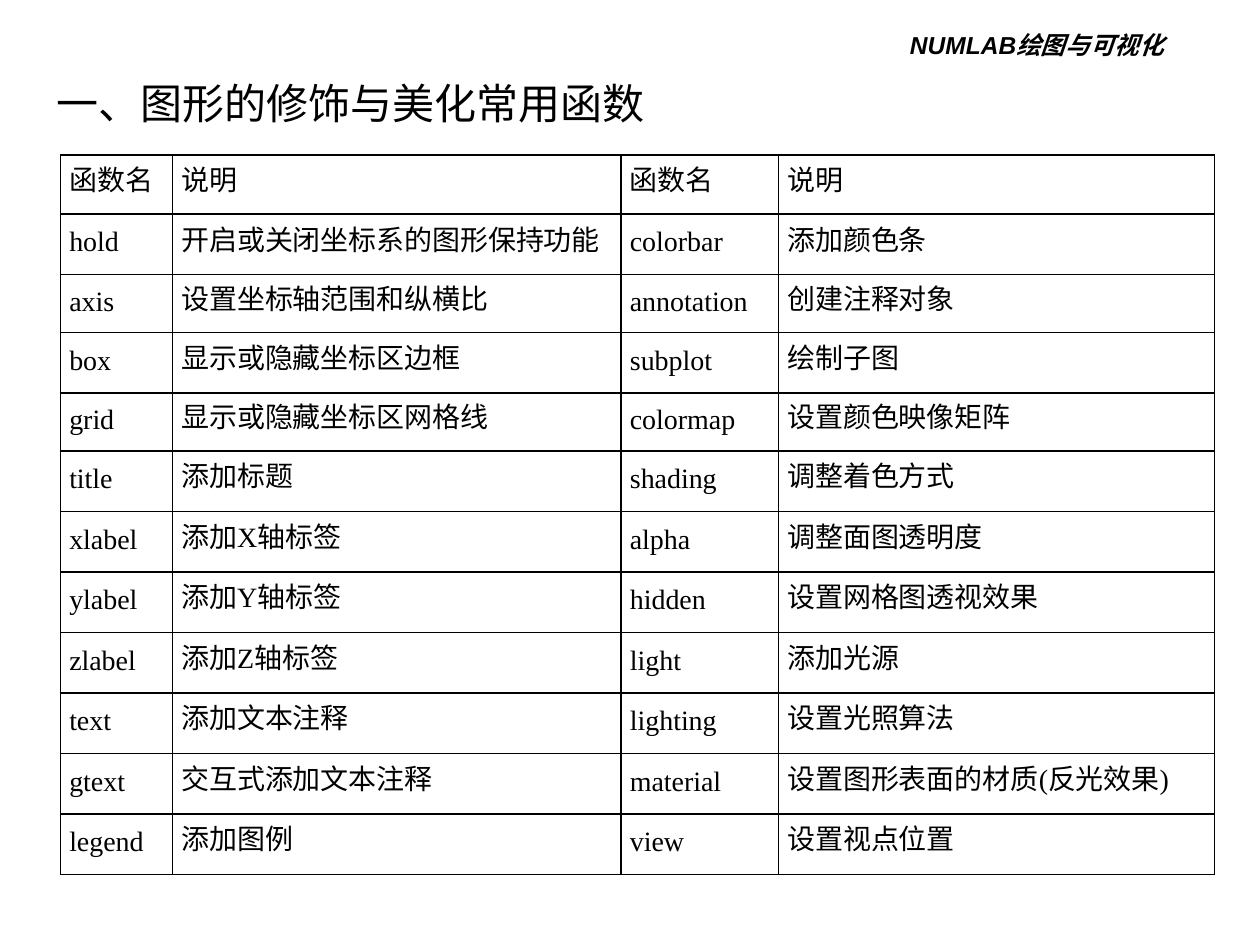
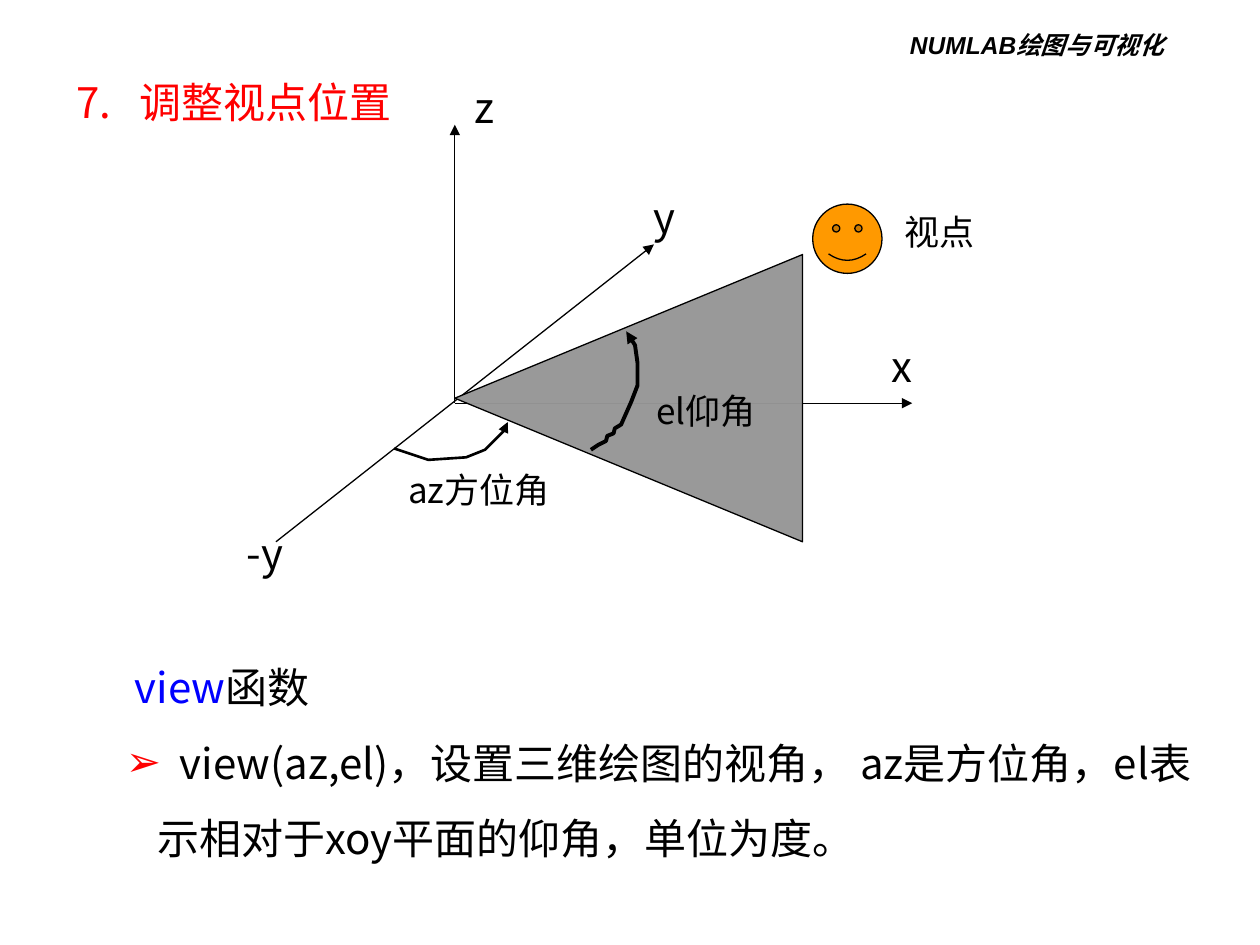
from pptx import Presentation, util as u
from pptx.dml.color import RGBColor
from pptx.enum import shapes, text
from pptx.oxml import parse_xml
from pptx.oxml.ns import nsdecls, qn

COLORS = {"ink": "000000", "accent": "FF0000", "code": "0000FF",
          "plane": "969696", "face": "FF9900"}
SANS, SERIF, HEAD, AXIS = ("Noto Sans CJK SC", "Times New Roman", "Arial",
                           "Noto Sans CJK KR")
COLS, ROWS = 100, 75

FUNCTIONS = [
    ("函数名", "说明", "函数名", "说明"),
    ("hold", "开启或关闭坐标系的图形保持功能", "colorbar", "添加颜色条"),
    ("axis", "设置坐标轴范围和纵横比", "annotation", "创建注释对象"),
    ("box", "显示或隐藏坐标区边框", "subplot", "绘制子图"),
    ("grid", "显示或隐藏坐标区网格线", "colormap", "设置颜色映像矩阵"),
    ("title", "添加标题", "shading", "调整着色方式"),
    ("xlabel", "添加X轴标签", "alpha", "调整面图透明度"),
    ("ylabel", "添加Y轴标签", "hidden", "设置网格图透视效果"),
    ("zlabel", "添加Z轴标签", "light", "添加光源"),
    ("text", "添加文本注释", "lighting", "设置光照算法"),
    ("gtext", "交互式添加文本注释", "material", "设置图形表面的材质(反光效果)"),
    ("legend", "添加图例", "view", "设置视点位置"),
]


def rgb(name):
    return RGBColor.from_string(COLORS[name])


def element(tag, attrs="", inner=""):
    return parse_xml(f"<a:{tag} {nsdecls('a')} {attrs}>{inner}</a:{tag}>")


def solid(name):
    return f'<a:solidFill><a:srgbClr val="{COLORS[name]}"/></a:solidFill>'


def add_run(p, content, size=24, font=SANS, east=SANS, color="ink",
            bold=False, italic=False):
    r = p.add_run()
    r.text = content
    f = r.font
    f.size, f.name, f.bold, f.italic = u.Pt(size), font, bold, italic
    f.color.rgb = rgb(color)
    r._r.get_or_add_rPr().find(qn("a:latin")).addnext(
        element("ea", f'typeface="{east}"'))


def set_indent(p, margin=0, first=0, bullet=None, tab=None):
    """Set a paragraph's indents in inches, with an optional bullet and tab stop."""
    pPr = p._p.get_or_add_pPr()
    pPr.set("marL", str(u.Inches(margin)))
    pPr.set("indent", str(u.Inches(first)))
    if bullet:
        pPr.append(element("buClr", "", f'<a:srgbClr val="{COLORS["accent"]}"/>'))
        pPr.append(element("buFont", f'typeface="{HEAD}"'))
        pPr.append(element("buChar", f'char="{bullet}"'))
    if tab:
        pPr.append(element("tabLst", "",
                           f'<a:tab pos="{u.Inches(tab)}" algn="l"/>'))


class Deck:
    """Holds the presentation, its grid and the slide being filled."""

    def __init__(self):
        self.prs = Presentation()
        self.prs.slide_width, self.prs.slide_height = u.Inches(10), u.Inches(7.5)

    def x(self, cols):
        return round(self.prs.slide_width * cols / COLS)

    def y(self, rows):
        return round(self.prs.slide_height * rows / ROWS)

    def box(self, left, top, width, height):
        return self.x(left), self.y(top), self.x(width), self.y(height)

    def new_slide(self):
        self.s = self.prs.slides.add_slide(self.prs.slide_layouts[6])
        p = self.label("NUMLAB绘图与可视化", 70.5, 1.9, 23.6, 3.4, size=14,
                       font=HEAD, bold=True, italic=True)
        p.alignment = text.PP_ALIGN.CENTER

    def frame(self, *area, wrap=True):
        tf = self.s.shapes.add_textbox(*self.box(*area)).text_frame
        tf.word_wrap = wrap
        return tf

    def label(self, content, *area, wrap=True, **style):
        p = self.frame(*area, wrap=wrap).paragraphs[0]
        add_run(p, content, **style)
        return p

    def outline(self, sp, width, arrow=False):
        sp.line.color.rgb, sp.line.width = rgb("ink"), u.Pt(width)
        if arrow:
            sp._element.spPr.find(qn("a:ln")).append(
                element("tailEnd", 'type="triangle"'))

    def axis(self, x1, y1, x2, y2):
        sp = self.s.shapes.add_connector(
            shapes.MSO_CONNECTOR.STRAIGHT,
            self.x(x1), self.y(y1), self.x(x2), self.y(y2))
        self.outline(sp, 0.75, arrow=True)
        sp._element.spPr.append(element("effectLst"))

    def shape(self, kind, *area, fill, opacity=100, rotation=0):
        sp = self.s.shapes.add_shape(kind, *self.box(*area))
        sp.shadow.inherit = False
        sp.rotation = rotation
        sp.fill.solid()
        sp.fill.fore_color.rgb = rgb(fill)
        if opacity < 100:
            sp._element.spPr.find(qn("a:solidFill"))[0].append(
                element("alpha", f'val="{opacity * 1000}"'))
        self.outline(sp, 0.75)

    def angle_arrow(self, points, width):
        (x, y), *rest = [(self.x(a), self.y(b)) for a, b in points]
        pen = self.s.shapes.build_freeform(x, y)
        pen.add_line_segments(rest, close=False)
        sp = pen.convert_to_shape()
        sp.shadow.inherit = False
        sp.fill.background()
        self.outline(sp, width, arrow=True)

    def table(self, data, left, top, widths, heights):
        area = self.box(left, top, sum(widths), sum(heights))
        tbl = self.s.shapes.add_table(len(data), len(widths), *area).table
        tbl.first_row = tbl.horz_banding = False
        for col, width in zip(tbl.columns, widths):
            col.width = self.x(width)
        for row, height, values in zip(tbl.rows, heights, data):
            row.height = self.y(height)
            for i, (cell, value) in enumerate(zip(row.cells, values)):
                self.cell(cell, value, {"lnL": i == 2, "lnR": i == 1,
                                        "lnT": False, "lnB": False})

    def cell(self, cell, value, borders):
        """Fill one cell; borders maps each side to whether it is heavy."""
        cell.margin_left = cell.margin_right = u.Inches(0.07)
        cell.margin_top = cell.margin_bottom = 0
        cell.vertical_anchor = text.MSO_ANCHOR.MIDDLE
        for side, heavy in borders.items():
            width = u.Pt(1.5 if heavy else 1)
            cell._tc.get_or_add_tcPr().append(
                element(side, f'w="{width}"', solid("ink")))
        cell.fill.background()
        p = cell.text_frame.paragraphs[0]
        p.line_spacing = u.Pt(15.6)
        add_run(p, value, size=16, font=SERIF)


def functions_slide(deck):
    deck.new_slide()
    deck.label("一、图形的修饰与美化常用函数", 3.5, 5.7, 69.7, 5)
    deck.table(FUNCTIONS, 4.8, 12.3, [8.9, 35.6, 12.5, 34.6],
               [4.7, 4.8, 4.6, 4.8, 4.6] + [4.8] * 7)


def viewpoint_slide(deck):
    deck.new_slide()
    p = deck.label("7.\t调整视点位置", 5.1, 3.6, 89, 7.1, color="accent")
    p.line_spacing = 1.5
    set_indent(p, tab=0.51)

    tf = deck.frame(9, 50, 88.2, 19.2)
    heading, usage = tf.paragraphs[0], tf.add_paragraph()
    heading.line_spacing = usage.line_spacing = 1.5
    set_indent(heading, margin=0.07)
    add_run(heading, "view", color="code")
    add_run(heading, "函数")
    set_indent(usage, margin=0.25, first=-0.25, bullet="➢", tab=0.43)
    add_run(usage, "\tview(az,el)，设置三维绘图的视角， az是方位角，"
                   "el表示相对于xoy平面的仰角，单位为度。")

    origin = (36.1, 32)
    deck.axis(*origin, 72.4, 32)
    deck.axis(21.9, 43, 51.9, 19.4)
    deck.axis(*origin, 36.1, 9.9)
    deck.shape(shapes.MSO_SHAPE.ISOSCELES_TRIANGLE, 38.5, 17.8, 22.8, 27.6,
               fill="plane", opacity=97, rotation=270)
    for name, left, top, width in [("z", 36.7, 6, 3.7), ("y", 50.9, 14.7, 3.7),
                                   ("x", 69.8, 26.5, 3.7), ("-y", 18.6, 41.4, 5.8)]:
        deck.label(name, left, top, width, 5, wrap=False, font=AXIS, east=AXIS)

    deck.shape(shapes.MSO_SHAPE.SMILEY_FACE, 64.5, 16.2, 5.5, 5.5, fill="face")
    deck.label("视点", 70.8, 16.2, 7.6, 4.3, wrap=False, size=20)
    deck.angle_arrow([(31.3, 35.6), (34, 36.5), (37, 36.3), (38.5, 35.7),
                      (40.1, 34.1), (40.3, 33.5)], 1.5)
    deck.label("az方位角", 31.4, 36.7, 13.4, 4.4, size=20)
    deck.angle_arrow([(46.9, 35.7), (47.5, 35.3), (48.1, 35), (48.2, 34.6),
                      (48.7, 34.4), (48.8, 34), (49.3, 33.7), (50.1, 31.9),
                      (50.6, 30.6), (50.6, 28.8), (50.4, 27.4), (49.7, 26.3)], 2.25)
    deck.label("el仰角", 51.1, 30.4, 10.3, 4.3, size=20)


def main():
    deck = Deck()
    functions_slide(deck)
    viewpoint_slide(deck)
    deck.prs.save("out.pptx")


if __name__ == "__main__":
    main()
